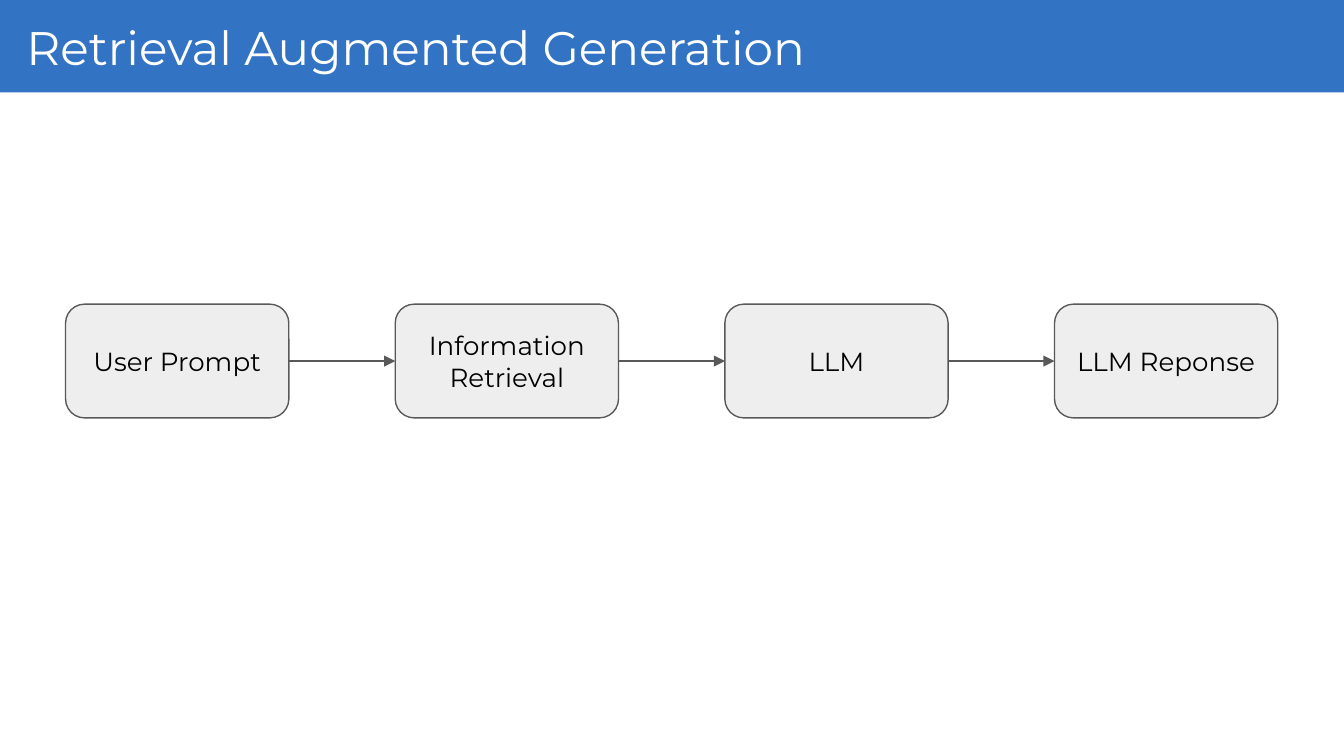
import dataclasses

import lxml.etree
import pptx
import pptx.dml.color
import pptx.enum.shapes
import pptx.enum.text
import pptx.oxml.ns
import pptx.util
from pptx.util import Cm


@dataclasses.dataclass(frozen=True)
class Theme:
    font: str = "Montserrat"
    banner: str = "0051B5"
    banner_opacity: int = 80
    title: str = "FFFFFF"
    step_fill: str = "EEEEEE"
    outline: str = "595959"
    step_text: str = "000000"
    title_size: float = 25.2
    step_size: float = 14
    line_width: float = 0.75


def rgb(color):
    return pptx.dml.color.RGBColor.from_string(color)


def add_xml(parent, tag, **attributes):
    return lxml.etree.SubElement(parent, pptx.oxml.ns.qn(tag), attributes)


class FlowSlide:
    def __init__(self, slide, theme):
        self.shapes = slide.shapes
        self.theme = theme

    def label(self, frame, text, size, color, align):
        frame.word_wrap = True
        frame.vertical_anchor = pptx.enum.text.MSO_ANCHOR.MIDDLE
        frame.margin_left = frame.margin_right = Cm(0.25)
        frame.margin_top = frame.margin_bottom = Cm(0.25)
        paragraph = frame.paragraphs[0]
        paragraph.alignment = align
        run = paragraph.add_run()
        run.text = text
        run.font.name = self.theme.font
        run.font.size = pptx.util.Pt(size)
        run.font.color.rgb = rgb(color)

    def block(self, kind, left, top, width, height, color):
        block = self.shapes.add_shape(kind, left, top, width, height)
        block.shadow.inherit = False
        block.fill.solid()
        block.fill.fore_color.rgb = rgb(color)
        return block

    def banner(self, width, height):
        banner = self.block(pptx.enum.shapes.MSO_SHAPE.RECTANGLE,
                            0, 0, width, height, self.theme.banner)
        banner.line.fill.background()
        color = banner._element.spPr.find(".//" + pptx.oxml.ns.qn("a:srgbClr"))
        add_xml(color, "a:alpha", val=str(self.theme.banner_opacity * 1000))

    def title(self, text, left, top, width, height):
        title = self.shapes.add_textbox(left, top, width, height)
        self.label(title.text_frame, text, self.theme.title_size,
                   self.theme.title, pptx.enum.text.PP_ALIGN.LEFT)

    def step(self, text, left, top, width, height):
        step = self.block(pptx.enum.shapes.MSO_SHAPE.ROUNDED_RECTANGLE,
                          left, top, width, height, self.theme.step_fill)
        step.line.color.rgb = rgb(self.theme.outline)
        step.line.width = pptx.util.Pt(self.theme.line_width)
        self.label(step.text_frame, text, self.theme.step_size,
                   self.theme.step_text, pptx.enum.text.PP_ALIGN.CENTER)
        return step

    def arrow(self, source, target):
        arrow = self.shapes.add_connector(
            pptx.enum.shapes.MSO_CONNECTOR.STRAIGHT, 0, 0, 0, 0)
        arrow.begin_connect(source, 3)
        arrow.end_connect(target, 1)
        arrow.line.color.rgb = rgb(self.theme.outline)
        arrow.line.width = pptx.util.Pt(self.theme.line_width)
        outline = arrow._element.spPr.find(pptx.oxml.ns.qn("a:ln"))
        add_xml(outline, "a:tailEnd", type="triangle")
        add_xml(arrow._element.spPr, "a:effectLst")


def main():
    deck = pptx.Presentation()
    deck.slide_width, deck.slide_height = Cm(25.4), Cm(14.29)
    flow = FlowSlide(deck.slides.add_slide(deck.slide_layouts[6]), Theme())

    flow.banner(deck.slide_width, Cm(1.75))
    flow.title("Retrieval Augmented Generation",
               Cm(0.25), Cm(0.08), Cm(21.36), Cm(1.6))

    stages = ["User Prompt", "Information Retrieval", "LLM", "LLM Reponse"]
    first_left, pitch = 1.24, 6.23
    steps = [
        flow.step(stage, Cm(first_left + index * pitch), Cm(5.75), Cm(4.22), Cm(2.15))
        for index, stage in enumerate(stages)
    ]
    for source, target in zip(steps, steps[1:]):
        flow.arrow(source, target)

    deck.save("out.pptx")


if __name__ == "__main__":
    main()
